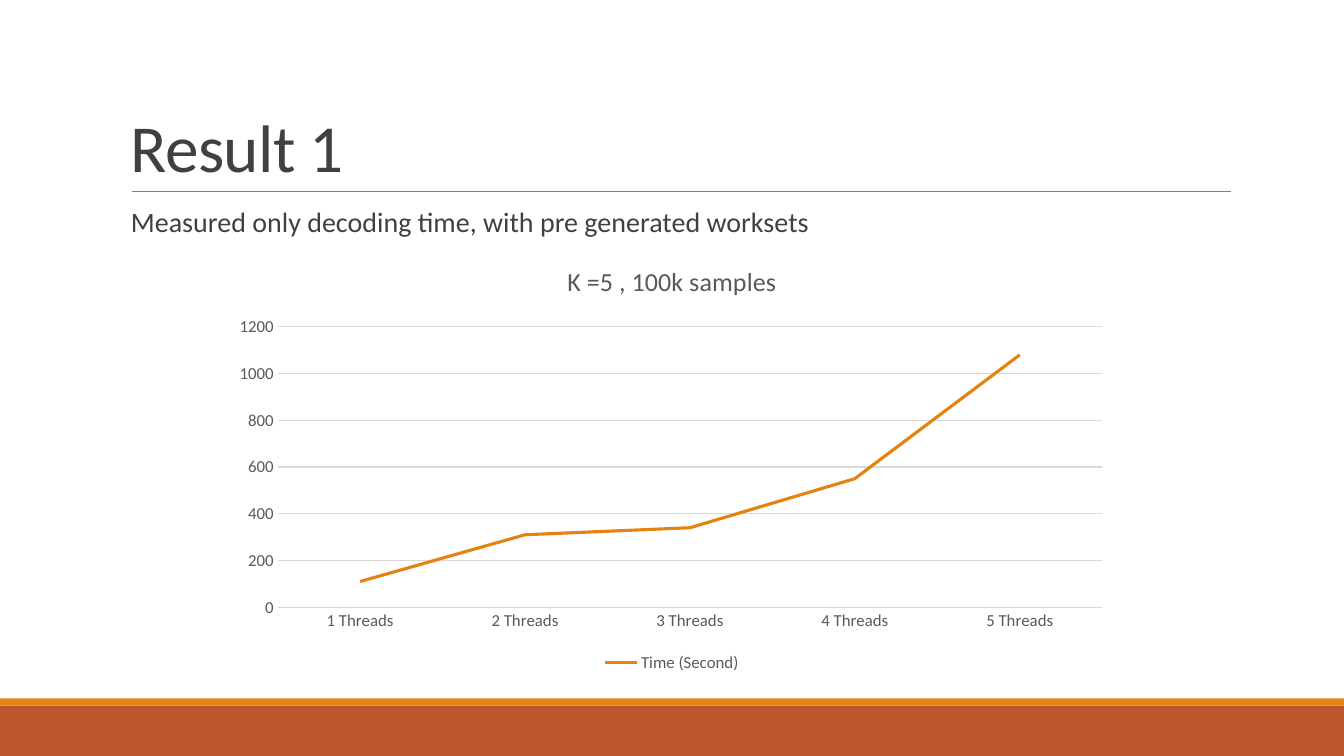
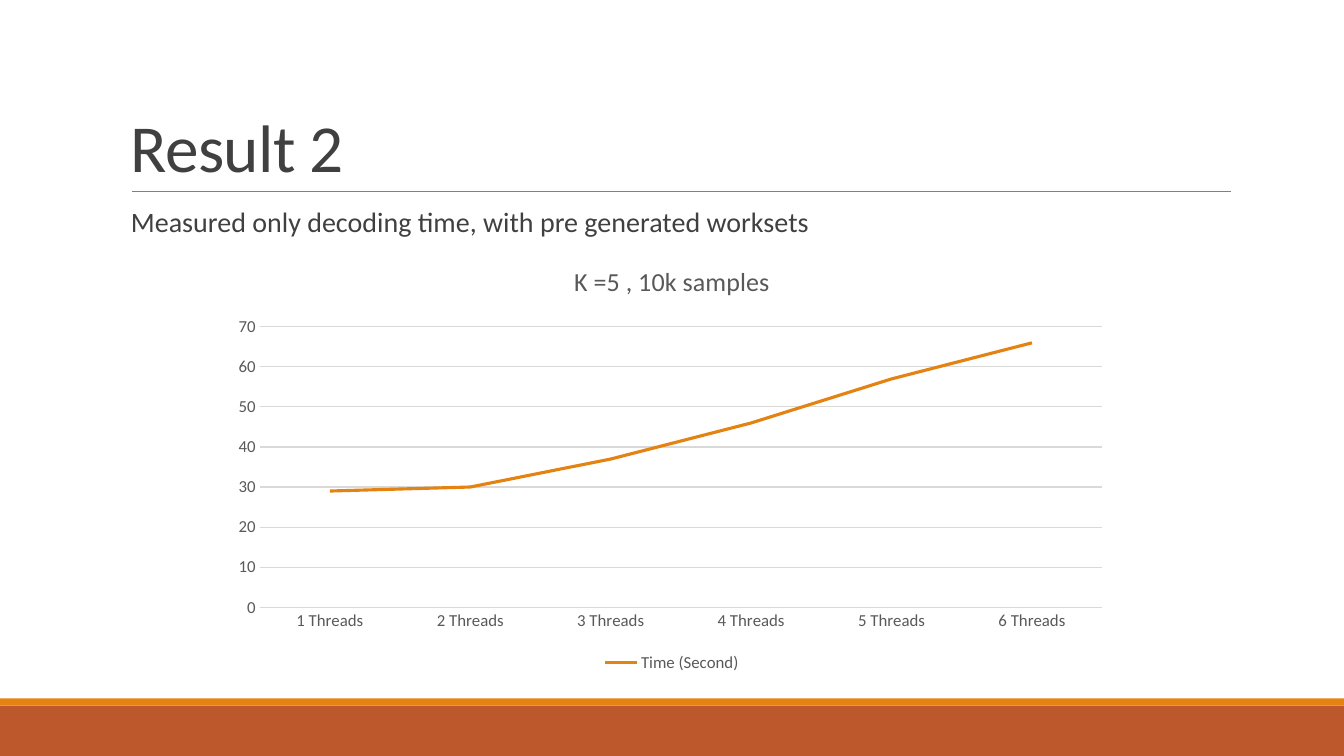
from dataclasses import dataclass

from pptx import Presentation
from pptx.chart.chart import Chart
from pptx.chart.data import CategoryChartData
from pptx.dml.color import RGBColor
from pptx.enum.chart import XL_CHART_TYPE, XL_LEGEND_POSITION, XL_TICK_MARK
from pptx.enum.shapes import MSO_CONNECTOR, MSO_SHAPE
from pptx.enum.text import MSO_ANCHOR
from pptx.oxml import parse_xml
from pptx.oxml.ns import nsdecls, qn
from pptx.slide import Slide
from pptx.text.text import Font
from pptx.util import Inches, Pt

LINE_CHART = XL_CHART_TYPE.LINE
LEGEND_BOTTOM = XL_LEGEND_POSITION.BOTTOM
NO_TICKS = XL_TICK_MARK.NONE
STRAIGHT = MSO_CONNECTOR.STRAIGHT
RECTANGLE = MSO_SHAPE.RECTANGLE
TOP, BOTTOM = MSO_ANCHOR.TOP, MSO_ANCHOR.BOTTOM


@dataclass(frozen=True)
class Theme:
    font: str = "Calibri"
    accent: RGBColor = RGBColor(0xE4, 0x83, 0x12)
    footer: RGBColor = RGBColor(0xBD, 0x58, 0x2C)
    text: RGBColor = RGBColor(0x40, 0x40, 0x40)
    rule: RGBColor = RGBColor(0x80, 0x80, 0x80)
    chart_text: RGBColor = RGBColor(0x59, 0x59, 0x59)
    grid: RGBColor = RGBColor(0xD9, 0xD9, 0xD9)
    title_size: float = 48
    body_size: float = 20
    chart_title_size: float = 18.6
    label_size: float = 12


@dataclass(frozen=True)
class Box:
    left: float
    top: float
    width: float
    height: float

    def lengths(self) -> tuple[Inches, Inches, Inches, Inches]:
        return Inches(self.left), Inches(self.top), Inches(self.width), Inches(self.height)


@dataclass(frozen=True)
class Band:
    box: Box
    color: RGBColor


@dataclass(frozen=True)
class TextStyle:
    box: Box
    size: float
    line_spacing: float
    anchor: MSO_ANCHOR
    inset: float = 0.1
    letter_spacing: float = 0


@dataclass(frozen=True)
class Result:
    title: str
    chart_title: str
    seconds: tuple[int, ...]
    plot_left: float


THEME = Theme()
SLIDE_WIDTH, SLIDE_HEIGHT = 13.33, 7.5
BANDS = (
    Band(Box(0, 7, SLIDE_WIDTH, 0.5), THEME.footer),
    Band(Box(0, 6.93, SLIDE_WIDTH, 0.07), THEME.accent),
)
RULE_LEFT, RULE_RIGHT, RULE_TOP = 1.31, 12.21, 1.9
TITLE = TextStyle(Box(1.2, 0.31, 11, 1.59), THEME.title_size, 0.85, BOTTOM, letter_spacing=-0.5)
BODY = TextStyle(Box(1.2, 2.02, 11, 4.4), THEME.body_size, 0.9, TOP)
CHART_BOX = Box(2.22, 2.43, 8.89, 4.28)
# Plot edges as fractions of the chart frame
PLOT_TOP, PLOT_RIGHT, PLOT_BOTTOM = 0.19, 0.98, 0.84

SUBTITLE = "Measured only decoding time, with pre generated worksets"
SERIES_NAME = "Time (Second)"
RESULTS = (
    Result("Result 1", "K =5 , 100k samples", (110, 310, 340, 550, 1080), 0.06),
    Result("Result 2", "K =5 , 10k samples", (29, 30, 37, 46, 57, 66), 0.04),
)


def style_font(font: Font, size: float, color: RGBColor) -> None:
    font.name = THEME.font
    font.size = Pt(size)
    font.bold = False
    font.color.rgb = color


def add_band(slide: Slide, band: Band) -> None:
    shape = slide.shapes.add_shape(RECTANGLE, *band.box.lengths())
    shape.shadow.inherit = False
    shape.fill.solid()
    shape.fill.fore_color.rgb = band.color
    shape.line.fill.background()


def add_title_rule(slide: Slide) -> None:
    rule = slide.shapes.add_connector(
        STRAIGHT, Inches(RULE_LEFT), Inches(RULE_TOP), Inches(RULE_RIGHT), Inches(RULE_TOP)
    )
    rule.line.color.rgb = THEME.rule
    rule.line.width = Pt(0.5)
    rule.element.spPr.append(parse_xml(f"<a:effectLst {nsdecls('a')}/>"))


def add_text(slide: Slide, text: str, style: TextStyle) -> None:
    frame = slide.shapes.add_textbox(*style.box.lengths()).text_frame
    frame.word_wrap = True
    frame.vertical_anchor = style.anchor
    frame.margin_left = frame.margin_right = Inches(style.inset)
    paragraph = frame.paragraphs[0]
    paragraph.line_spacing = style.line_spacing
    run = paragraph.add_run()
    run.text = text
    style_font(run.font, style.size, THEME.text)
    if style.letter_spacing:
        run._r.get_or_add_rPr().set("spc", str(round(style.letter_spacing * 100)))


def place_plot(chart: Chart, left: float) -> None:
    """Fix the inner plot area inside the chart frame."""
    plot_area = chart.element.find(".//" + qn("c:plotArea"))
    for layout in plot_area.findall(qn("c:layout")):
        plot_area.remove(layout)
    edges = {"x": left, "y": PLOT_TOP, "w": PLOT_RIGHT - left, "h": PLOT_BOTTOM - PLOT_TOP}
    modes = '<c:xMode val="edge"/><c:yMode val="edge"/>'
    sizes = "".join(f'<c:{name} val="{value:.2f}"/>' for name, value in edges.items())
    plot_area.insert(0, parse_xml(
        f"<c:layout {nsdecls('c')}><c:manualLayout>"
        f'<c:layoutTarget val="inner"/>{modes}{sizes}</c:manualLayout></c:layout>'
    ))


def style_axes(chart: Chart) -> None:
    for axis in (chart.category_axis, chart.value_axis):
        axis.major_tick_mark = axis.minor_tick_mark = NO_TICKS
        style_font(axis.tick_labels.font, THEME.label_size, THEME.chart_text)
    chart.value_axis.format.line.fill.background()
    chart.value_axis.has_major_gridlines = True
    for part in (chart.category_axis, chart.value_axis.major_gridlines):
        part.format.line.color.rgb = THEME.grid
        part.format.line.width = Pt(0.75)


def add_time_chart(slide: Slide, result: Result) -> None:
    data = CategoryChartData()
    data.categories = [f"{count} Threads" for count in range(1, len(result.seconds) + 1)]
    data.add_series(SERIES_NAME, result.seconds)
    chart = slide.shapes.add_chart(LINE_CHART, *CHART_BOX.lengths(), data).chart
    style_font(chart.font, THEME.label_size, THEME.chart_text)

    chart.has_title = True
    run = chart.chart_title.text_frame.paragraphs[0].add_run()
    run.text = result.chart_title
    style_font(run.font, THEME.chart_title_size, THEME.chart_text)
    chart.chart_title.include_in_layout = False

    chart.has_legend = True
    chart.legend.position = LEGEND_BOTTOM
    chart.legend.include_in_layout = False
    style_font(chart.legend.font, THEME.label_size, THEME.chart_text)

    style_axes(chart)
    place_plot(chart, result.plot_left)
    plot = chart.plots[0]
    plot.vary_by_categories = False
    series = plot.series[0]
    series.smooth = False
    series.format.line.color.rgb = THEME.accent
    series.format.line.width = Pt(2.25)


def main() -> None:
    presentation = Presentation()
    presentation.slide_width = Inches(SLIDE_WIDTH)
    presentation.slide_height = Inches(SLIDE_HEIGHT)
    blank_layout = presentation.slide_layouts[6]
    for result in RESULTS:
        slide = presentation.slides.add_slide(blank_layout)
        for band in BANDS:
            add_band(slide, band)
        add_title_rule(slide)
        add_text(slide, result.title, TITLE)
        add_text(slide, SUBTITLE, BODY)
        add_time_chart(slide, result)
    presentation.save("out.pptx")


if __name__ == "__main__":
    main()
